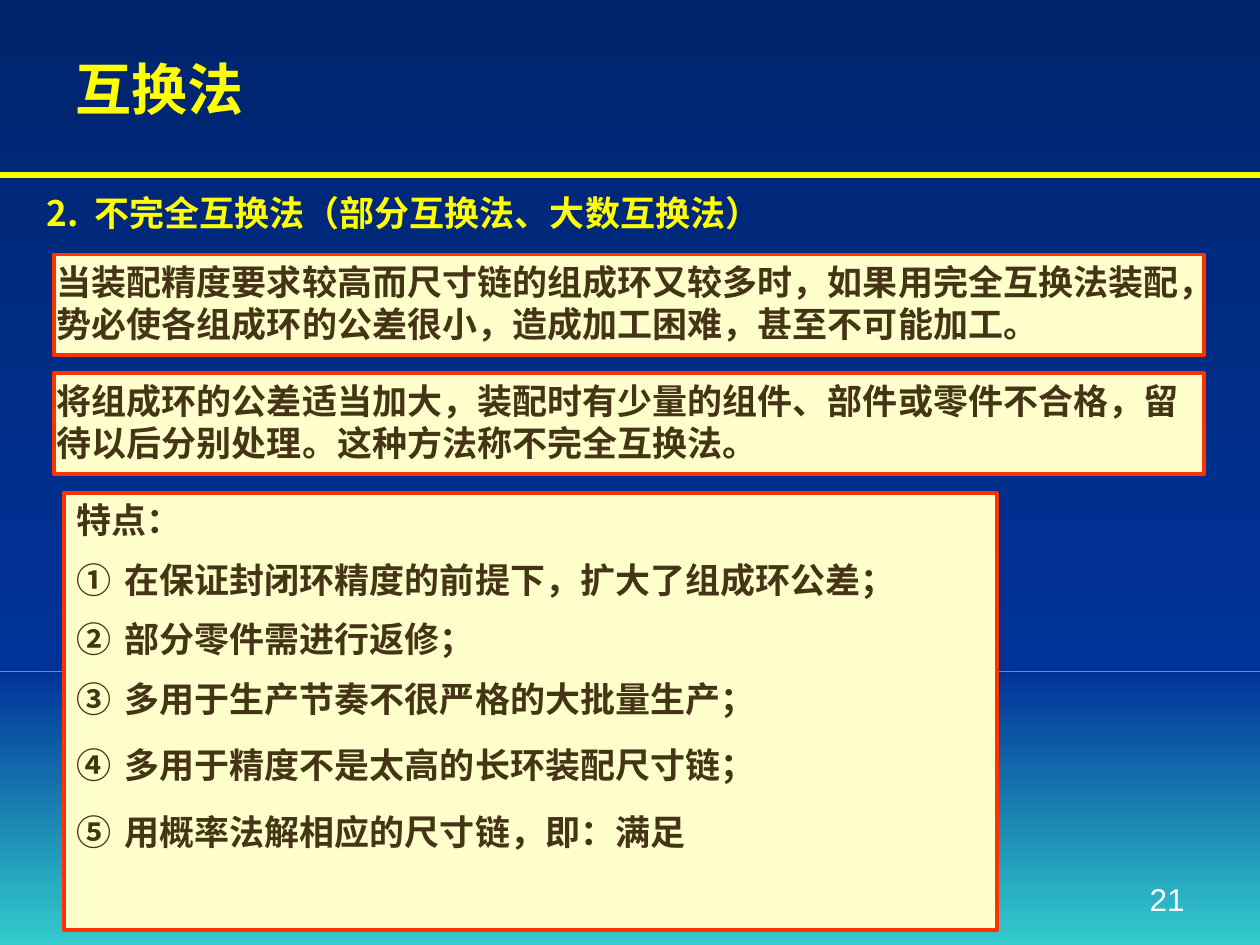
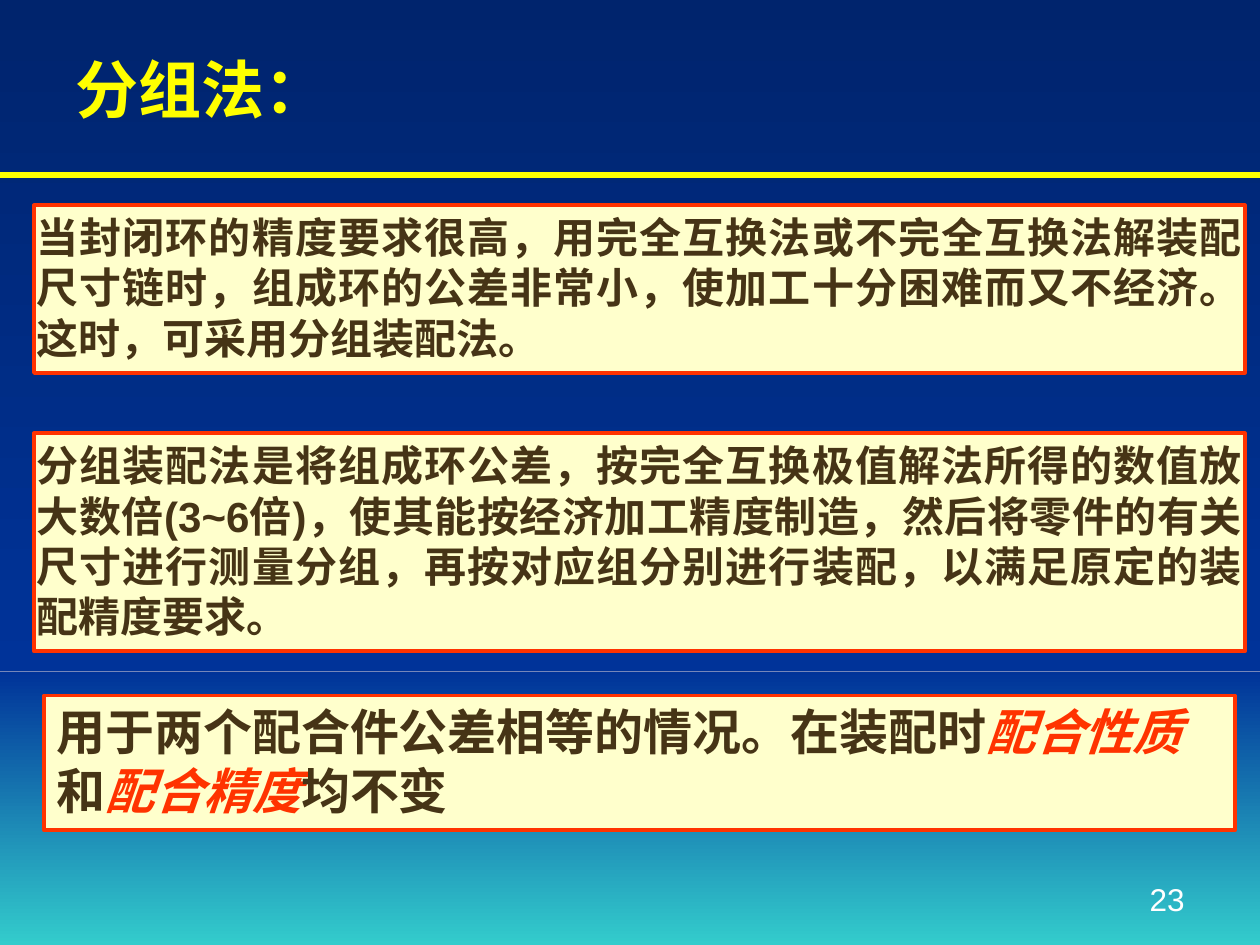
import pptx
import pptx.dml.color
import pptx.enum.shapes
import pptx.enum.text
import pptx.oxml.ns
import pptx.util
from lxml import etree

Inches = pptx.util.Inches
Points = pptx.util.Pt
Anchor = pptx.enum.text.MSO_ANCHOR
Align = pptx.enum.text.PP_ALIGN
qualified = pptx.oxml.ns.qn

COLORS = {
    "navy": "00246D",
    "blue": "003399",
    "teal": "33CCCC",
    "lavender": "A6A9C7",
    "yellow": "FFFF00",
    "cream": "FFFFCC",
    "red": "FF3300",
    "brown": "463416",
    "white": "FFFFFF",
}
FONT = "Arial"
WIDTH, HEIGHT = 10, 7.5
HORIZON = 5.33
HANGING = 0.38
TIGHT = 0.02


def color(name):
    return pptx.dml.color.RGBColor.from_string(COLORS[name])


def fill_gradient(fill, top, bottom):
    fill.gradient()
    fill.gradient_angle = 270
    for stop, name in zip(fill.gradient_stops, (top, bottom)):
        stop.color.rgb = color(name)


def write(paragraph, runs, size=20, ink="brown", bold=True, align=Align.LEFT,
          before=0, after=0, hanging=0, number=None, start=1):
    paragraph.alignment = align
    paragraph.space_before = Points(before)
    paragraph.space_after = Points(after)
    properties = paragraph._p.get_or_add_pPr()
    if hanging:
        properties.set("marL", str(Inches(hanging)))
        properties.set("indent", str(-Inches(hanging)))
    if number:
        bullet = etree.SubElement(properties, qualified("a:buAutoNum"), type=number)
        if start > 1:
            bullet.set("startAt", str(start))
    for text, emphasis in [(runs, False)] if isinstance(runs, str) else runs:
        run = paragraph.add_run()
        run.text = text
        run.font.name = FONT
        run.font.size = Points(size)
        run.font.bold = bold
        run.font.italic = emphasis
        run.font.color.rgb = color("red" if emphasis else ink)


class Deck:
    def __init__(self):
        self.presentation = pptx.Presentation()
        self.presentation.slide_width = Inches(WIDTH)
        self.presentation.slide_height = Inches(HEIGHT)
        self.slide = None

    def start_slide(self, title, page, title_size):
        self.slide = self.presentation.slides.add_slide(self.presentation.slide_layouts[6])
        fill_gradient(self.slide.background.fill, "blue", "lavender")
        self.band(HORIZON, HEIGHT - HORIZON, "blue", "teal")
        self.band(0, HORIZON, "navy", "blue")
        self.rule(1.39)
        self.label(7.17, 6.83, 2.33, 0.5, page, anchor=Anchor.BOTTOM,
                   size=18, ink="white", bold=False, align=Align.RIGHT)
        self.label(0.5, 0.25, 9, 0.9, title, anchor=Anchor.MIDDLE,
                   size=title_size, ink="yellow")

    def rectangle(self, left, top, width, height):
        shape = self.slide.shapes.add_shape(
            pptx.enum.shapes.MSO_SHAPE.RECTANGLE,
            Inches(left), Inches(top), Inches(width), Inches(height))
        shape.shadow.inherit = False
        return shape

    def band(self, top, height, upper, lower):
        shape = self.rectangle(0, top, WIDTH, height)
        fill_gradient(shape.fill, upper, lower)
        shape.line.fill.background()

    def rule(self, top):
        connector = self.slide.shapes.add_connector(
            pptx.enum.shapes.MSO_CONNECTOR.STRAIGHT,
            Inches(0), Inches(top), Inches(WIDTH), Inches(top))
        connector.line.color.rgb = color("yellow")
        connector.line.width = Points(3)
        etree.SubElement(connector._element.spPr, qualified("a:effectLst"))

    def label(self, left, top, width, height, text, anchor=Anchor.TOP, **style):
        shape = self.slide.shapes.add_textbox(
            Inches(left), Inches(top), Inches(width), Inches(height))
        shape.text_frame.word_wrap = True
        shape.text_frame.vertical_anchor = anchor
        write(shape.text_frame.paragraphs[0], text, **style)

    def panel(self, left, top, width, height, paragraphs, inset=0.1, grow=True, **style):
        shape = self.rectangle(left, top, width, height)
        shape.fill.solid()
        shape.fill.fore_color.rgb = color("cream")
        shape.line.color.rgb = color("red")
        shape.line.width = Points(2.25)
        frame = shape.text_frame
        frame.word_wrap = True
        frame.vertical_anchor = Anchor.TOP
        frame.margin_left = frame.margin_right = Inches(inset)
        if grow:
            frame.auto_size = pptx.enum.text.MSO_AUTO_SIZE.SHAPE_TO_FIT_TEXT
        for index, (runs, own_style) in enumerate(paragraphs):
            paragraph = frame.add_paragraph() if index else frame.paragraphs[0]
            write(paragraph, runs, **{**style, **own_style})


deck = Deck()

deck.start_slide("互换法", "21", 32)
deck.label(0.27, 1.47, 6.46, 0.43, "不完全互换法（部分互换法、大数互换法）",
           ink="yellow", hanging=HANGING, number="arabicPeriod", start=2)
reasons = [
    "当装配精度要求较高而尺寸链的组成环又较多时，如果用完全互换法装配，"
    "势必使各组成环的公差很小，造成加工困难，甚至不可能加工。",
    "将组成环的公差适当加大，装配时有少量的组件、部件或零件不合格，"
    "留待以后分别处理。这种方法称不完全互换法。",
]
for index, reason in enumerate(reasons):
    deck.panel(0.43, 2.02 + 0.94 * index, 9.13, 0.8, [(reason, {})], inset=TIGHT)
features = [
    ("在保证封闭环精度的前提下，扩大了组成环公差；", 10, 0),
    ("部分零件需进行返修；", 10, 0),
    ("多用于生产节奏不很严格的大批量生产；", 10, 0),
    ("多用于精度不是太高的长环装配尺寸链；", 14, 0),
    ("用概率法解相应的尺寸链，即：满足", 14, 10),
]
deck.panel(0.51, 3.91, 7.4, 3.47, [("特点：", {})] + [
    (text, {"before": before, "after": after, "number": "circleNumDbPlain"})
    for text, before, after in features
], grow=False, hanging=HANGING)

deck.start_slide("分组法：", "23", 36)
explanations = [
    (1.63, 1.33, "当封闭环的精度要求很高，用完全互换法或不完全互换法解装配尺寸链时，"
                 "组成环的公差非常小，使加工十分困难而又不经济。这时，可采用分组装配法。"),
    (3.44, 1.73, "分组装配法是将组成环公差，按完全互换极值解法所得的数值放大数倍(3~6倍)，"
                 "使其能按经济加工精度制造，然后将零件的有关尺寸进行测量分组，"
                 "再按对应组分别进行装配，以满足原定的装配精度要求。"),
]
for top, height, text in explanations:
    deck.panel(0.27, top, 9.61, height, [(text, {})], inset=TIGHT,
               size=24, align=Align.JUSTIFY)
usage = [
    ("用于两个配合件公差相等的情况。在装配时", False),
    ("配合性质", True),
    ("和", False),
    ("配合精度", True),
    ("均不变", False),
]
deck.panel(0.35, 5.52, 9.45, 1.07, [(usage, {})], size=28)

deck.presentation.save("out.pptx")
